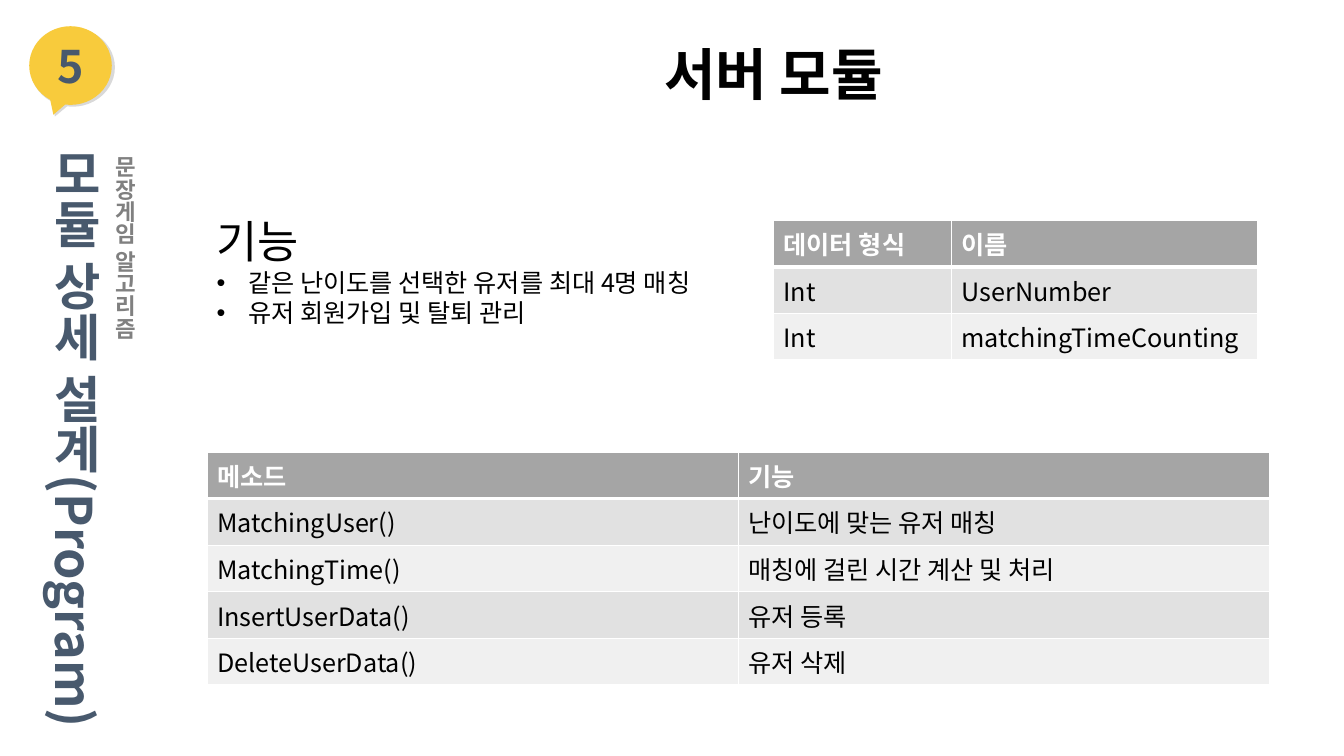
"""Build the server module slide with its feature list and two tables."""
from pptx import Presentation
from pptx.dml.color import RGBColor
from pptx.enum import shapes, text
from pptx.oxml import ns, xmlchemy as xc
from pptx.util import Pt

NUMBER = "5"
TITLE = "서버 모듈"
CHAPTER = "모듈 상세 설계(Program)"
SECTION = "문장게임 알고리즘"
FEATURE_HEADING = "기능"
FEATURES = ["같은 난이도를 선택한 유저를 최대 4명 매칭", "유저 회원가입 및 탈퇴 관리"]
FIELDS = [
    ("데이터 형식", "이름"),
    ("Int", "UserNumber"),
    ("Int", "matchingTimeCounting"),
]
METHODS = [
    ("메소드", "기능"),
    ("MatchingUser()", "난이도에 맞는 유저 매칭"),
    ("MatchingTime()", "매칭에 걸린 시간 계산 및 처리"),
    ("InsertUserData()", "유저 등록"),
    ("DeleteUserData()", "유저 삭제"),
]

FONT = "Noto Sans CJK KR"
BLACK = RGBColor(0x00, 0x00, 0x00)
WHITE = RGBColor(0xFF, 0xFF, 0xFF)
NAVY = RGBColor(0x48, 0x59, 0x6D)
GRAY = RGBColor(0x80, 0x80, 0x80)
YELLOW = RGBColor(0xF8, 0xCB, 0x3C)
SHADE = RGBColor(0xD9, 0xD9, 0xD9)
HEADER = RGBColor(0xA5, 0xA5, 0xA5)
BANDS = [RGBColor(0xF0, 0xF0, 0xF0), RGBColor(0xE1, 0xE1, 0xE1)]

BUBBLE_TAIL = (-0.208, 0.625)
BULLET_INDENT = Pt(22.5)


def child(parent, tag, **attributes):
    """Append an XML element with attributes to its parent."""
    element = xc.OxmlElement(tag)
    for key, value in attributes.items():
        element.set(key, str(value))
    parent.append(element)
    return element


def write(paragraph, words, size=18, color=BLACK, bold=False, align=text.PP_ALIGN.LEFT,
          bullet=None):
    """Put one formatted run into a paragraph."""
    paragraph.alignment = align
    paragraph.space_before = Pt(0)
    properties = paragraph._p.get_or_add_pPr()
    indent = BULLET_INDENT if bullet else 0
    properties.set("marL", str(indent))
    properties.set("indent", str(-indent))
    if bullet:
        child(properties, "a:buFont", typeface="Arial")
        child(properties, "a:buChar", char=bullet)
    else:
        child(properties, "a:buNone")
    run = paragraph.add_run()
    run.text = words
    run.font.size = Pt(size)
    run.font.bold = bold
    run.font.color.rgb = color
    run.font.name = FONT
    child(run._r.get_or_add_rPr(), "a:ea", typeface=FONT)


def place(placeholder, left, top, width, height):
    """Move a placeholder and let its text start at the top."""
    placeholder.left, placeholder.top = Pt(left), Pt(top)
    placeholder.width, placeholder.height = Pt(width), Pt(height)
    frame = placeholder.text_frame
    frame.vertical_anchor = text.MSO_ANCHOR.TOP
    frame.auto_size = text.MSO_AUTO_SIZE.NONE
    return frame


def add_bubble(group, left, top, width, height, color):
    """Add one speech bubble to the group."""
    bubble = group.shapes.add_shape(shapes.MSO_SHAPE.OVAL_CALLOUT,
                                    Pt(left), Pt(top), Pt(width), Pt(height))
    for index, value in enumerate(BUBBLE_TAIL):
        bubble.adjustments[index] = value
    bubble.shadow.inherit = False
    bubble.fill.solid()
    bubble.fill.fore_color.rgb = color
    bubble.line.fill.background()
    return bubble


def add_vertical(slide, words, left, top, width, height, **style):
    """Add a text box that reads from top to bottom."""
    frame = slide.shapes.add_textbox(Pt(left), Pt(top), Pt(width), Pt(height)).text_frame
    frame.word_wrap = False
    frame.auto_size = text.MSO_AUTO_SIZE.SHAPE_TO_FIT_TEXT
    frame._txBody.find(ns.qn("a:bodyPr")).set("vert", "eaVert")
    write(frame.paragraphs[0], words, bold=True, **style)


def add_grid(slide, rows, left, top, widths, row_height):
    """Add a banded table with white rules and a gray header."""
    grid = slide.shapes.add_table(len(rows), len(widths), Pt(left), Pt(top),
                                  Pt(sum(widths)), Pt(row_height * len(rows))).table
    for column, width in zip(grid.columns, widths):
        column.width = Pt(width)
    for r, row in enumerate(rows):
        grid.rows[r].height = Pt(row_height)
        for c, words in enumerate(row):
            cell = grid.cell(r, c)
            weights = {"L": 1, "R": 1, "T": 3 if r == 1 else 1, "B": 3 if r == 0 else 1}
            for side, weight in weights.items():
                rule = child(cell._tc.get_or_add_tcPr(), f"a:ln{side}", w=Pt(weight))
                child(child(rule, "a:solidFill"), "a:srgbClr", val=WHITE)
            cell.fill.solid()
            cell.fill.fore_color.rgb = BANDS[r % 2] if r else HEADER
            write(cell.text_frame.paragraphs[0], words,
                  color=BLACK if r else WHITE, bold=r == 0)


def main():
    """Assemble and save the slide."""
    deck = Presentation()
    deck.slide_width, deck.slide_height = Pt(960), Pt(540)
    slide = deck.slides.add_slide(deck.slide_layouts[1])
    center = text.PP_ALIGN.CENTER

    heading = place(slide.shapes.title, 350.6, 24.5, 404, 55.4)
    write(heading.paragraphs[0], TITLE, size=40, bold=True, align=center)

    features = place(slide.placeholders[1], 147.6, 149, 431.3, 90)
    write(features.paragraphs[0], FEATURE_HEADING, size=32)
    for feature in FEATURES:
        write(features.add_paragraph(), feature, bullet="•")

    badge = slide.shapes.add_group_shape()
    add_bubble(badge, 21.6, 20, 60.5, 56.2, SHADE)
    number = add_bubble(badge, 20.9, 18.7, 59, 56.2, YELLOW).text_frame
    number.vertical_anchor = text.MSO_ANCHOR.MIDDLE
    write(number.paragraphs[0], NUMBER, size=32, color=NAVY, bold=True, align=center)

    add_vertical(slide, CHAPTER, 20.9, 99.4, 58.3, 415.4, size=36, color=NAVY)
    add_vertical(slide, SECTION, 67, 104.4, 35.3, 139.7, size=16, color=GRAY, align=center)

    add_grid(slide, FIELDS, 552.5, 157.3, [127.2, 218.8], 28)
    add_grid(slide, METHODS, 147.9, 322.9, [379.4, 379.4], 33.25)
    deck.save("out.pptx")


if __name__ == "__main__":
    main()
